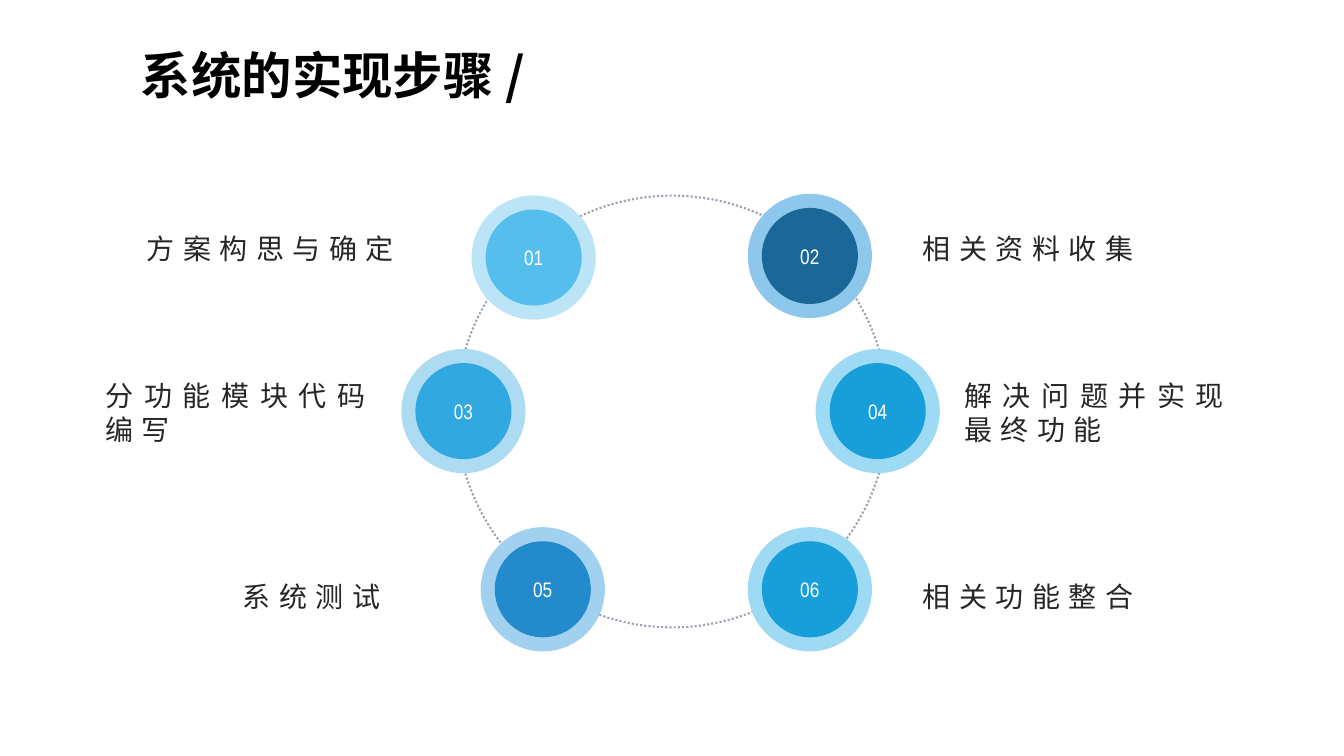
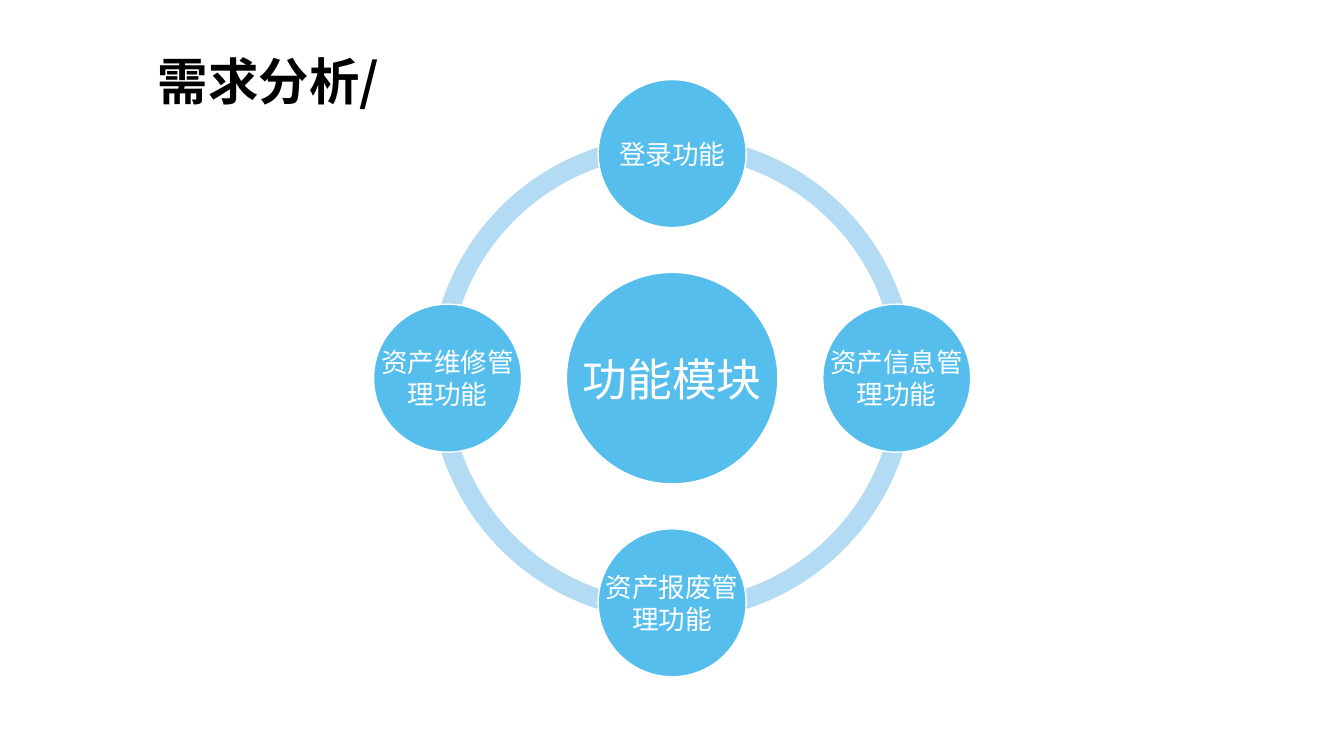
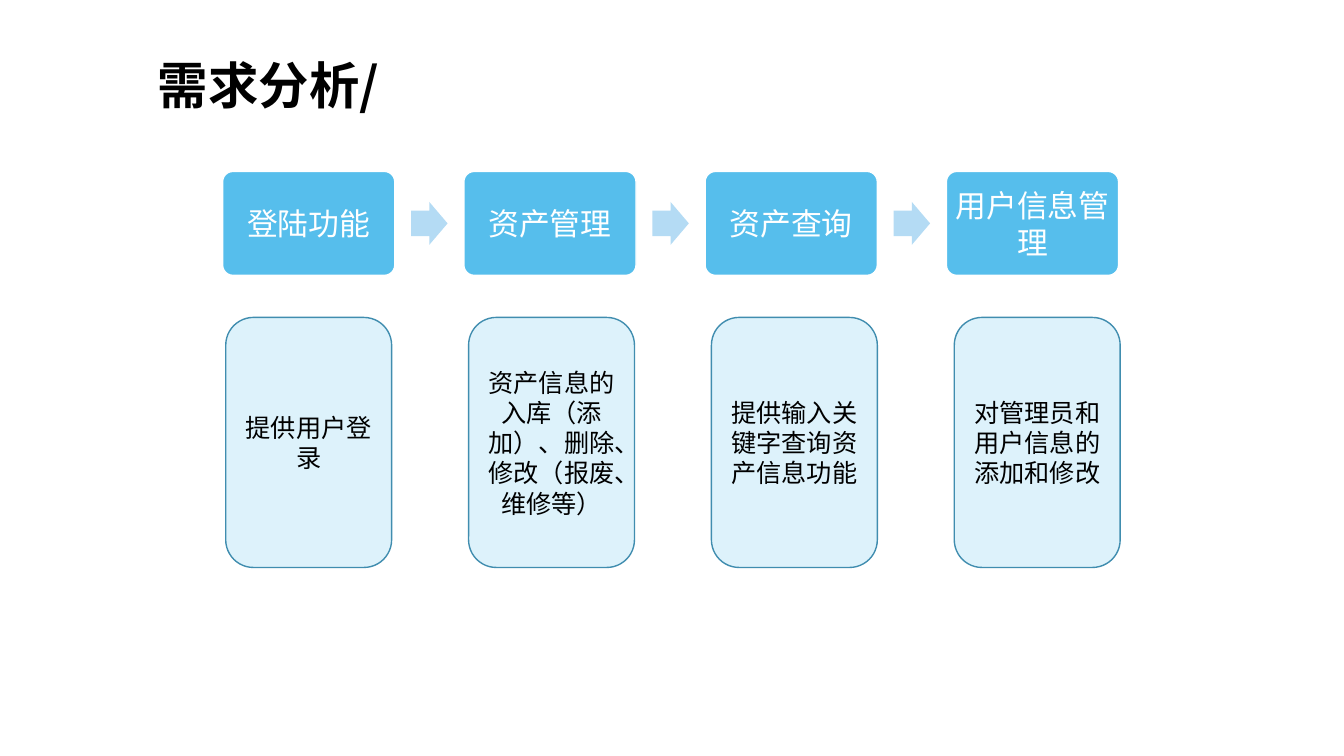
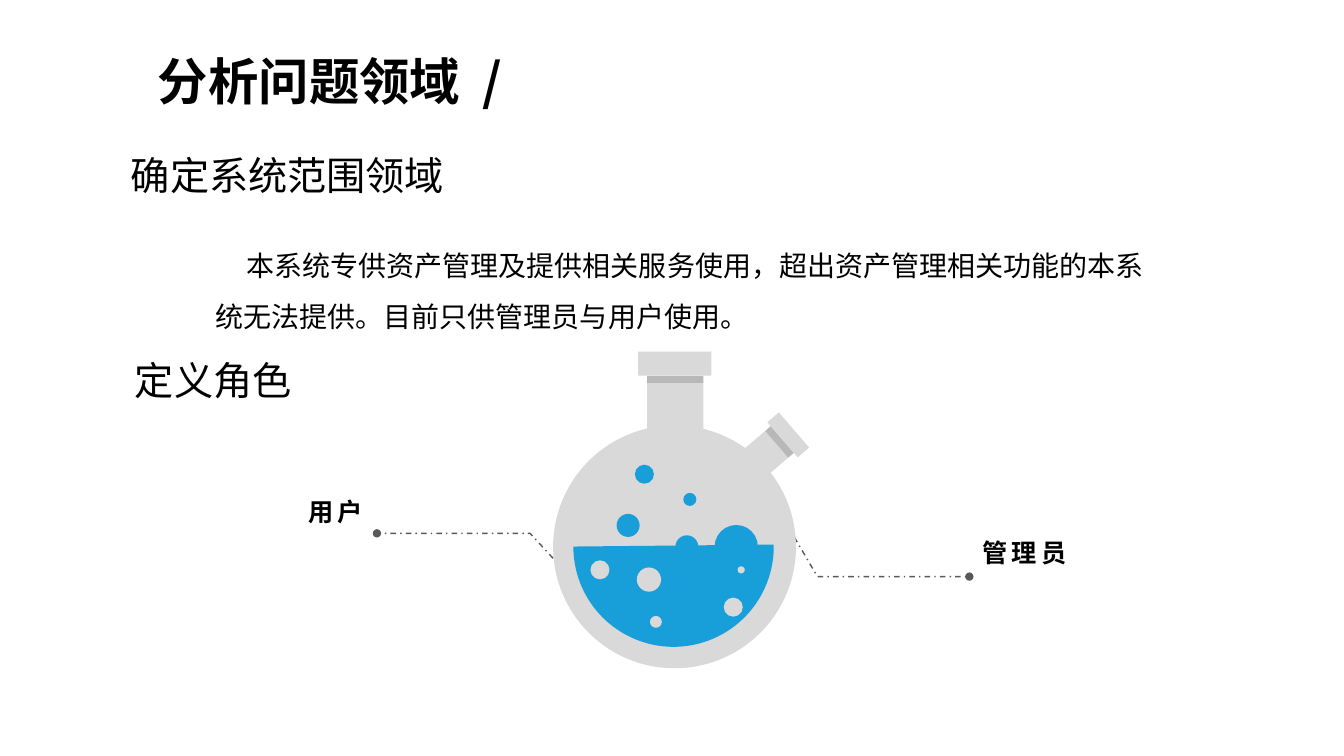
from math import cos, sin, radians
from lxml import etree
from pptx import Presentation
from pptx.dml.color import RGBColor
from pptx.enum.dml import MSO_LINE
from pptx.enum.shapes import MSO_SHAPE as SHAPE
from pptx.enum.text import MSO_ANCHOR as ANCHOR, MSO_AUTO_SIZE as AUTO, PP_ALIGN as ALIGN
from pptx.oxml.ns import qn
from pptx.util import Cm, Pt

# Shared style
COLORS = {
    "black": "000000", "white": "FFFFFF", "text": "262626",
    "sky": "56BEEC", "pale": "B4DBF4", "panel": "DDF2FB", "edge": "408DAF",
    "blue": "189ED9", "glass": "D9D9D9", "dots": "99A3B0", "leader": "595959",
    "light1": "BBE5F7", "light2": "8EC7EC", "dark2": "1A6798",
    "light3": "ADDCF2", "mid3": "31A8DF", "light4": "9EDAF4",
    "light5": "A2D1EF", "mid5": "238ACB",
}
CJK, NARROW, CONDENSED = "Noto Sans CJK SC", "Arial Narrow", "Roboto Condensed"
TITLE_ONLY = 5


def rgb(name):
    return RGBColor.from_string(COLORS[name])


def write(tf, text, size=18, color="black", font=CONDENSED, bold=False,
          align=ALIGN.LEFT, spc=0, leading=None, indent=None):
    """Add a formatted run to the last paragraph of a text frame."""
    p = tf.paragraphs[-1]
    p.alignment = align
    if leading:
        p.line_spacing = leading
    if indent:
        p._p.get_or_add_pPr().set("indent", str(Cm(indent)))
    r = p.add_run()
    r.text = text
    r.font.size, r.font.bold, r.font.name = Pt(size), bold, font
    r.font.color.rgb = rgb(color)
    rPr = r._r.get_or_add_rPr()
    if spc:
        rPr.set("spc", str(spc * 100))
    etree.SubElement(rPr, qn("a:ea")).set("typeface", CJK)


def set_frame(tf, anchor=ANCHOR.TOP, inset=(0.25, 0.13)):
    tf.word_wrap = True
    tf.auto_size = AUTO.NONE
    tf.vertical_anchor = anchor
    tf.margin_left = tf.margin_right = Cm(inset[0])
    tf.margin_top = tf.margin_bottom = Cm(inset[1])


def place(sp, x, y, w, h):
    sp.left, sp.top, sp.width, sp.height = Cm(x), Cm(y), Cm(w), Cm(h)


def new_slide(prs, heading, x, y, slash="/", spc=0):
    """Add a slide whose title ends in a slash."""
    s = prs.slides.add_slide(prs.slide_layouts[TITLE_ONLY])
    place(s.shapes.title, x, y, 15.5, 1.8)
    tf = s.shapes.title.text_frame
    set_frame(tf)
    style = dict(size=36, font=CJK, bold=True)
    write(tf, heading, **style)
    write(tf, slash, spc=spc, **style)
    return s


def add_text(s, text, x, y, w, h, anchor=ANCHOR.TOP, inset=(0.25, 0.13), **fmt):
    tf = s.shapes.add_textbox(Cm(x), Cm(y), Cm(w), Cm(h)).text_frame
    set_frame(tf, anchor, inset)
    write(tf, text, **fmt)


def style_line(sp, color, width=1, dash=None):
    sp.line.color.rgb = rgb(color)
    sp.line.width = Pt(width)
    if dash:
        sp.line.dash_style = dash


def add_shape(s, kind, x, y, w, h, fill=None, line=None, adj=(), rot=0,
              opacity=None, text=None, inset=(0.25, 0.13), **fmt):
    sp = s.shapes.add_shape(kind, Cm(x), Cm(y), Cm(w), Cm(h))
    sp.shadow.inherit = False
    sp.rotation = rot
    for i, value in enumerate(adj):
        sp.adjustments[i] = value
    if fill:
        sp.fill.solid()
        sp.fill.fore_color.rgb = rgb(fill)
    else:
        sp.fill.background()
    if opacity:
        clr = sp._element.spPr.find(".//" + qn("a:srgbClr"))
        etree.SubElement(clr, qn("a:alpha")).set("val", str(opacity * 1000))
    if line:
        style_line(sp, line)
    else:
        sp.line.fill.background()
    if text:
        set_frame(sp.text_frame, ANCHOR.MIDDLE, inset)
        write(sp.text_frame, text, align=ALIGN.CENTER, **fmt)
    return sp


def add_disc(s, cx, cy, d, fill, **kw):
    """Add a circle by its centre."""
    return add_shape(s, SHAPE.OVAL, cx - d / 2, cy - d / 2, d, d, fill, **kw)


def add_hub(s, text, cx, cy, d, size):
    """Add a circle with a label as wide as the circle."""
    add_disc(s, cx, cy, d, "sky", line="white")
    add_text(s, text, cx - d / 2, cy - d / 2, d, d, ANCHOR.MIDDLE, (0.08, 0.08),
             size=size, color="white", align=ALIGN.CENTER)


def add_leader(s, points):
    """Add a bent dash-dot line that ends in a dot."""
    pts = [(Cm(x), Cm(y)) for x, y in points]
    builder = s.shapes.build_freeform(*pts[0])
    builder.add_line_segments(pts[1:], close=False)
    sp = builder.convert_to_shape()
    sp.shadow.inherit = False
    sp.fill.background()
    style_line(sp, "leader", dash=MSO_LINE.DASH_DOT)
    etree.SubElement(sp.line._get_or_add_ln(), qn("a:tailEnd")).set("type", "oval")


def steps_slide(prs):
    s = new_slide(prs, "系统的实现步骤", 3.3, 0.97, " /")
    ring = add_disc(s, 16.94, 10.37, 10.88, None)
    style_line(ring, "dots", 1.5, MSO_LINE.ROUND_DOT)
    # Centre, rim and core colours, then label with its left, top and width
    steps = [
        (13.45, 6.49, "light1", "sky", "方案构思与确定", 3.45, 5.7, 7.26),
        (20.41, 6.45, "light2", "dark2", "相关资料收集", 23.01, 5.7, 7.26),
        (11.68, 10.36, "light3", "mid3", "分功能模块代码编写", 2.41, 9.42, 7.26),
        (22.12, 10.36, "light4", "blue", "解决问题并实现最终功能", 24.05, 9.42, 7.26),
        (13.68, 14.85, "light5", "mid5", "系统测试", 5.87, 14.48, 5.26),
        (20.41, 14.85, "light4", "blue", "相关功能整合", 23.01, 14.48, 7.26),
    ]
    for n, (cx, cy, rim, core, label, x, y, w) in enumerate(steps, 1):
        add_disc(s, cx, cy, 3.13, rim)
        add_disc(s, cx, cy, 2.42, core, text=f"{n:02}", size=15,
                 color="white", font=NARROW)
        add_text(s, label, x, y, w, 1.96 if len(label) > 7 else 1.12, size=20,
                 color="text", font=CJK, align=ALIGN.JUSTIFY, spc=6)


def modules_slide(prs):
    s = new_slide(prs, "需求分析", 3.73, 1.14)
    cx, cy, d, orbit = 16.94, 9.53, 12.22, 5.66
    # Ring of four quarter arcs (54 adjustment units each)
    for i in range(4):
        add_shape(s, SHAPE.BLOCK_ARC, cx - d / 2, cy - d / 2, d, d, "pale",
                  adj=(54 * i, 54 * (i + 1) % 216, 0.04))
    add_hub(s, "功能模块", cx, cy, 5.33, 32)
    modules = ["登录功能", "资产信息管理功能", "资产报废管理功能", "资产维修管理功能"]
    for i, name in enumerate(modules):
        angle = radians(90 * i - 90)
        add_hub(s, name, cx + orbit * cos(angle), cy + orbit * sin(angle), 3.73, 19)


def functions_slide(prs):
    s = new_slide(prs, "需求分析", 3.73, 1.24)
    functions = [
        ("登陆功能", "提供用户登录"),
        ("资产管理", "资产信息的入库（添加）、删除、修改（报废、维修等）"),
        ("资产查询", "提供输入关键字查询资产信息功能"),
        ("用户信息管理", "对管理员和用户信息的添加和修改"),
    ]
    for i, (name, detail) in enumerate(functions):
        x = 5.61 + 6.08 * i
        add_shape(s, SHAPE.ROUNDED_RECTANGLE, x, 4.32, 4.34, 2.62, "sky", "white",
                  adj=(0.1,), text=name, inset=(0.12, 0.12), size=22, color="white")
        if i < len(functions) - 1:
            add_shape(s, SHAPE.RIGHT_ARROW, x + 4.75, 5.09, 0.92, 1.08, "pale",
                      adj=(0.6, 0.5))
        add_shape(s, SHAPE.FLOWCHART_ALTERNATE_PROCESS, 5.69 + 6.12 * i, 8, 4.18, 6.3,
                  "panel", "edge", text=detail)


def draw_flask(s):
    tilt = 49.2
    add_shape(s, SHAPE.OVAL, 13.94, 10.72, 6.12, 6.12, "glass")
    # Necks and liquid
    add_shape(s, SHAPE.RECTANGLE, 16.31, 9.47, 1.42, 1.35, "glass")
    add_shape(s, SHAPE.RECTANGLE, 18.95, 10.92, 0.89, 0.86, "glass", rot=tilt)
    add_shape(s, SHAPE.CHORD, 14.45, 11.25, 5.05, 5.05, "blue", adj=(215.31, 108.02))
    # Bubbles: left, top, diameter
    bubbles = {
        "blue": [(16, 11.71, 0.48), (17.22, 12.42, 0.33), (15.54, 12.95, 0.58),
                 (17.02, 13.49, 0.58), (18.01, 13.23, 1.09)],
        "glass": [(16.05, 14.3, 0.61), (14.88, 14.12, 0.48), (18.24, 15.06, 0.48),
                  (16.38, 15.52, 0.3), (18.59, 14.27, 0.18)],
    }
    for color, group in bubbles.items():
        for x, y, d in group:
            add_shape(s, SHAPE.OVAL, x, y, d, d, color)
    # Shades under the caps, then the caps
    add_shape(s, SHAPE.RECTANGLE, 16.31, 9.47, 1.42, 0.18, "black", opacity=15)
    add_shape(s, SHAPE.RECTANGLE, 19.2, 11.05, 0.89, 0.18, "black", opacity=15, rot=tilt)
    add_shape(s, SHAPE.RECTANGLE, 19.28, 10.77, 1.17, 0.38, "glass", rot=tilt)
    add_shape(s, SHAPE.RECTANGLE, 16.08, 8.86, 1.85, 0.61, "glass")


def domain_slide(prs):
    s = new_slide(prs, "分析问题领域", 3.73, 1.14, " /", spc=8)
    # Roles and their leaders
    role = dict(inset=(0.33, 0.18), font=NARROW, bold=True, spc=3, leading=1.2)
    add_text(s, "用户", 2.16, 12.17, 7.32, 1.27, align=ALIGN.RIGHT, **role)
    add_text(s, "管理员", 24.43, 13.21, 7.32, 1.27, **role)
    add_leader(s, [(13.94, 14.07), (13.36, 13.44), (9.5, 13.44)])
    add_leader(s, [(20.02, 13.54), (20.6, 14.53), (24.43, 14.53)])
    draw_flask(s)
    # Headings and scope
    add_text(s, "确定系统范围领域", 3.05, 3.68, 8.76, 1.45, size=28)
    add_text(s, "本系统专供资产管理及提供相关服务使用，超出资产管理相关功能的本系统无法提供。"
             "目前只供管理员与用户使用。", 5.18, 5.72, 24.31, 2.82,
             size=20, leading=1.5, indent=0.78)
    add_text(s, "定义角色", 3.15, 8.86, 9.42, 1.45, size=28)


def main():
    prs = Presentation()
    prs.slide_width, prs.slide_height = Cm(33.87), Cm(19.05)
    for build in (steps_slide, modules_slide, functions_slide, domain_slide):
        build(prs)
    prs.save("out.pptx")


if __name__ == "__main__":
    main()
